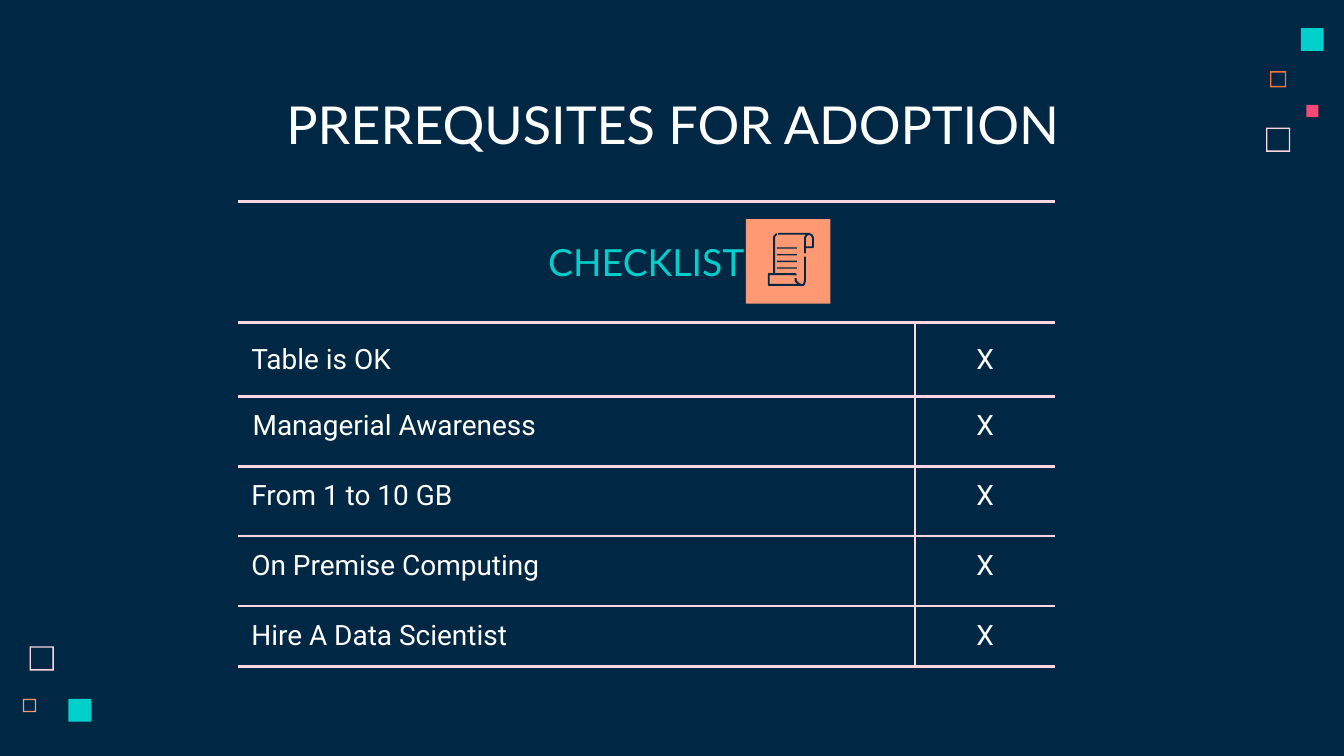
from lxml import etree
from pptx import Presentation
from pptx import util as u
from pptx.dml.color import RGBColor
from pptx.enum import shapes, text
from pptx.oxml.ns import qn

HUES = {"navy": "002845", "white": "FFFFFF", "teal": "00CFCC", "pale": "FFD6E1",
        "orange": "FC723F", "peach": "FF9973", "rose": "F64975"}
TITLE = "PREREQUSITES FOR ADOPTION"
HEAD = "CHECKLIST"
ITEMS = ["Table is OK", "Managerial Awareness", "From 1 to 10 GB",
         "On Premise Computing", "Hire A Data Scientist"]
MARK = "X"
COLS = [5.04, 1.04]
ROWS = [0.9, 0.55, 0.52, 0.52, 0.52, 0.44]
LEFT, TOP = 1.77, 1.5

SOLID = [(9.68, 0.21, 0.17, "teal"), (9.72, 0.78, 0.09, "rose"),
         (0.51, 5.2, 0.17, "teal"), (5.55, 1.63, 0.63, "peach")]
RINGS = [(9.42, 0.95, 0.18, "pale"), (9.45, 0.53, 0.12, "orange"),
         (0.17, 5.2, 0.1, "peach"), (0.22, 4.81, 0.18, "pale")]
RIM = 0.01

SCROLL = {
    "side": [(578, 174.5), (576, 175.5), (575.5, 178), (575.5, 203.5)],
    "foot": [(592.5, 205), (592.5, 203.5), (571.5, 203.5), (571.5, 209),
             (572.5, 211.5), (575, 212.5), (596, 212.5), (598, 211.5),
             (599, 209), (599, 191)],
    "curl": [(592.5, 207), (592.5, 209), (593.5, 211), (596, 212.5)],
    "roll": [(579, 174), (602.5, 174), (604.5, 175), (605, 177), (605, 183.5),
             (599, 183.5), (599, 188.5), (599, 177), (600, 175), (602.5, 174)],
}
LINES = [1.84 + 0.05 * i for i in range(4)]


def tint(name):
    return RGBColor.from_string(HUES[name])


def write(frame, words, font, size, hue, align):
    frame.text = words
    para = frame.paragraphs[0]
    para.alignment = align
    face = para.runs[0].font
    face.name, face.size, face.color.rgb = font, u.Pt(size), tint(hue)
    return para


def block(home, kind, x, y, wide, tall, hue):
    box = home.add_shape(kind, *map(u.Inches, (x, y, wide, tall)))
    box.shadow.inherit = False
    box.fill.solid()
    box.fill.fore_color.rgb = tint(hue)
    box.line.fill.background()
    return box


def border(cell, shown):
    props = cell._tc.get_or_add_tcPr()
    for i, side in enumerate("LRTB"):
        line = etree.Element(qn("a:ln" + side), w=str(u.Pt(1.5)))
        if side in shown:
            fill = etree.SubElement(line, qn("a:solidFill"))
            etree.SubElement(fill, qn("a:srgbClr"), val=HUES["pale"])
        else:
            etree.SubElement(line, qn("a:noFill"))
        props.insert(i, line)


def style(cell, words, font, size, hue, align, anchor, shown):
    para = write(cell.text_frame, words, font, size, hue, align)
    cell.margin_left = cell.margin_right = u.Inches(0.1)
    cell.margin_top = cell.margin_bottom = u.Inches(0.1)
    cell.vertical_anchor = anchor
    cell.fill.background()
    border(cell, shown)
    return para


deck = Presentation()
deck.slide_width, deck.slide_height = u.Inches(10), u.Pt(405)
slide = deck.slides.add_slide(deck.slide_layouts[6])
slide.background.fill.solid()
slide.background.fill.fore_color.rgb = tint("navy")

mid, start = text.PP_ALIGN.CENTER, text.PP_ALIGN.LEFT
high, half = text.MSO_ANCHOR.TOP, text.MSO_ANCHOR.MIDDLE
rect, ring = shapes.MSO_SHAPE.RECTANGLE, shapes.MSO_SHAPE.FRAME

for x, y, side, hue in SOLID[:-1]:
    block(slide.shapes, rect, x, y, side, side, hue)
for x, y, side, hue in RINGS:
    block(slide.shapes, ring, x, y, side, side, hue).adjustments[0] = RIM / side

frame = slide.shapes.add_textbox(*map(u.Inches, (0.79, 0.59, 8.43, 0.63))).text_frame
frame.word_wrap = True
frame.margin_left = frame.margin_right = u.Inches(0.1)
frame.margin_top = frame.margin_bottom = u.Inches(0.1)
write(frame, TITLE, "Lato", 28, "white", mid)

size = (LEFT, TOP, sum(COLS), sum(ROWS))
grid = slide.shapes.add_table(len(ROWS), len(COLS), *map(u.Inches, size)).table
grid.first_row = grid.horz_banding = False
grid._tbl.tblPr[0].text = "{2D5ABB26-0587-4C30-8999-92F81FD0307C}"
for col, wide in zip(grid.columns, COLS):
    col.width = u.Inches(wide)
for row, tall in zip(grid.rows, ROWS):
    row.height = u.Inches(tall)

grid.cell(0, 0).merge(grid.cell(0, 1))
style(grid.cell(0, 0), HEAD, "Lato", 20, "teal", mid, half, "TB")
border(grid.cell(0, 1), "TB")
for i, item in enumerate(ITEMS, 1):
    anchor = half if i == 1 else high
    para = style(grid.cell(i, 0), item, "Roboto", 15, "white", start, anchor, "RTB")
    style(grid.cell(i, 1), MARK, "Roboto", 15, "white", mid, anchor, "LTB")
    if i == 2:
        para.space_before = u.Pt(1.1)
        para._p.get_or_add_pPr().set("marL", str(u.Inches(0.01)))

x, y, side, hue = SOLID[-1]
block(slide.shapes, rect, x, y, side, side, hue)
icon = slide.shapes.add_group_shape().shapes
for points in SCROLL.values():
    pen = icon.build_freeform(*points[0], scale=u.Inches(0.01))
    pen.add_line_segments(points[1:], close=False)
    part = pen.convert_to_shape()
    part.shadow.inherit = False
    part.fill.background()
    part.line.color.rgb, part.line.width = tint("navy"), u.Pt(1)
for y in LINES:
    block(icon, rect, 5.78, y, 0.15, RIM, "navy")

deck.save("out.pptx")
